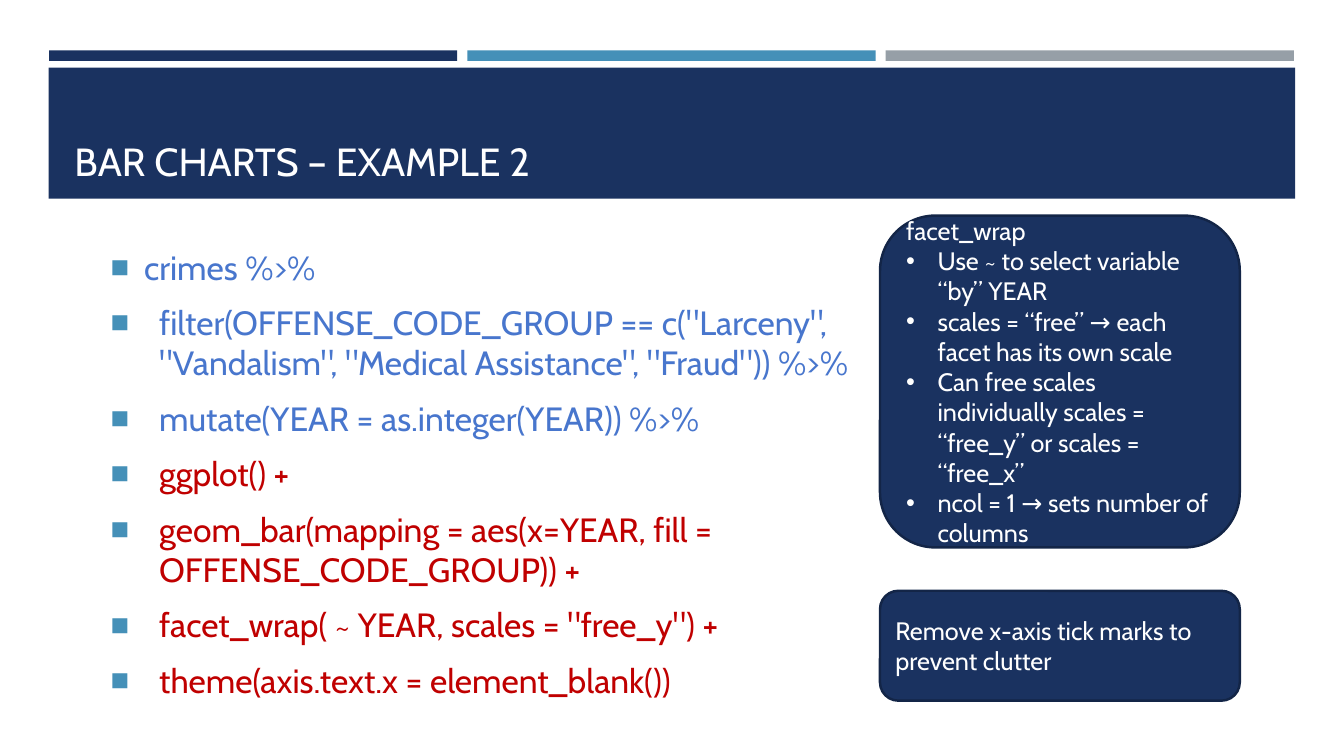
"""Build the slide on faceted bar charts: code on the left, callouts on the right."""
import lxml.etree
import pptx
import pptx.dml.color
import pptx.enum.shapes
import pptx.enum.text
import pptx.oxml.ns
import pptx.util

Pt = pptx.util.Pt
RGB = pptx.dml.color.RGBColor.from_string
SHAPES = pptx.enum.shapes.MSO_SHAPE
ANCHORS = pptx.enum.text.MSO_ANCHOR
LEFT = pptx.enum.text.PP_ALIGN.LEFT

THEME = {
    "font": "Cabin",
    "navy": "1A3260", "edge": "132547", "blue": "4590B8", "gray": "969FA7",
    "white": "FFFFFF", "data_code": "4876CD", "plot_code": "C00000",
    "title_size": 28, "code_size": 24, "callout_size": 18,
}


def write(paragraph, text, size, color, bullet=None, margin=0, hang=0):
    """Fill a paragraph; bullet is a (character, colour, percent) triple."""
    run = paragraph.add_run()
    run.text = text
    paragraph.alignment = LEFT
    for name, value in {"name": THEME["font"], "size": Pt(THEME[size])}.items():
        setattr(run.font, name, value)
    run.font.color.rgb = RGB(THEME[color])
    if bullet:
        character, bullet_color, percent = bullet
        properties = paragraph.alignment is not None and paragraph._p.get_or_add_pPr()
        properties.set("marL", str(Pt(margin)))
        properties.set("indent", str(-Pt(hang)))
        qn = pptx.oxml.ns.qn
        tint = lxml.etree.SubElement(properties, qn("a:buClr"))
        lxml.etree.SubElement(tint, qn("a:srgbClr"), val=THEME[bullet_color])
        lxml.etree.SubElement(properties, qn("a:buSzPct"), val=str(percent * 1000))
        lxml.etree.SubElement(properties, qn("a:buFont"), typeface="Arial")
        lxml.etree.SubElement(properties, qn("a:buChar"), char=character)


def block(kind, left, top, width, height, fill, edge=None):
    """Add a flat filled shape, outlined only when an edge colour is given."""
    shape = slide.shapes.add_shape(kind, Pt(left), Pt(top), Pt(width), Pt(height))
    shape.shadow.inherit = False
    shape.fill.solid()
    shape.fill.fore_color.rgb = RGB(THEME[fill])
    if edge:
        shape.line.color.rgb = RGB(THEME[edge])
        shape.line.width = Pt(1.75)
    else:
        shape.line.fill.background()
    return shape


deck = pptx.Presentation()
deck.slide_width, deck.slide_height = Pt(960), Pt(540)
slide = deck.slides.add_slide(deck.slide_layouts[1])

for column, color in enumerate(["navy", "blue", "gray"]):
    block(SHAPES.RECTANGLE, 35 + column * 298.8, 36, 291.6, 7.5, color)
block(SHAPES.RECTANGLE, 34.8, 48.4, 890.4, 93.6, "navy")

title, code = slide.placeholders
for holder, box, anchor in [
    (title, (46, 55.4, 868.4, 80), ANCHORS.BOTTOM),
    (code, (46, 176, 620.6, 324), ANCHORS.MIDDLE),
]:
    holder.left, holder.top, holder.width, holder.height = map(Pt, box)
    frame_format = {
        "vertical_anchor": anchor,
        "word_wrap": True,
        "auto_size": pptx.enum.text.MSO_AUTO_SIZE.NONE,
    }
    for name, value in frame_format.items():
        setattr(holder.text_frame, name, value)
    holder.element.getparent().append(holder.element)

write(title.text_frame.paragraphs[0], "BAR CHARTS – EXAMPLE 2", "title_size", "white")

code_lines = [
    ("crimes %>%", "data_code", 0),
    ('filter(OFFENSE_CODE_GROUP == c("Larceny", "Vandalism", '
     '"Medical Assistance", "Fraud")) %>%', "data_code", 1),
    ("mutate(YEAR = as.integer(YEAR)) %>%", "data_code", 1),
    ("ggplot() +", "plot_code", 1),
    ("geom_bar(mapping = aes(x=YEAR, fill = OFFENSE_CODE_GROUP)) +", "plot_code", 1),
    ('facet_wrap( ~ YEAR, scales = "free_y") +', "plot_code", 1),
    ("theme(axis.text.x = element_blank())", "plot_code", 1),
]
for index, (text, color, depth) in enumerate(code_lines):
    line = code.text_frame.add_paragraph() if index else code.text_frame.paragraphs[0]
    spacing = {"space_before": Pt(4.8), "space_after": Pt(6), "line_spacing": 1.0}
    for name, value in spacing.items():
        setattr(line, name, value)
    step = 10.8 * depth
    write(line, text, "code_size", color, ("■", "blue", 92), 49.7 + step, 23.8 + step)

callouts = [
    (154, 237, "facet_wrap", [
        "Use ~ to select variable “by” YEAR",
        "scales = “free” → each facet has its own scale",
        "Can free scales individually scales = “free_y” or scales = “free_x”",
        "ncol = 1 → sets number of columns",
    ]),
    (422, 78.5, "Remove x-axis tick marks to prevent clutter", []),
]
for top, height, heading, points in callouts:
    callout = block(SHAPES.ROUNDED_RECTANGLE, 628.6, top, 257, height, "navy", "edge")
    callout.text_frame.word_wrap = True
    callout.text_frame.vertical_anchor = ANCHORS.MIDDLE
    write(callout.text_frame.paragraphs[0], heading, "callout_size", "white")
    for point in points:
        write(callout.text_frame.add_paragraph(), point, "callout_size", "white",
              ("•", "white", 100), 22.5, 22.5)

deck.save("out.pptx")
